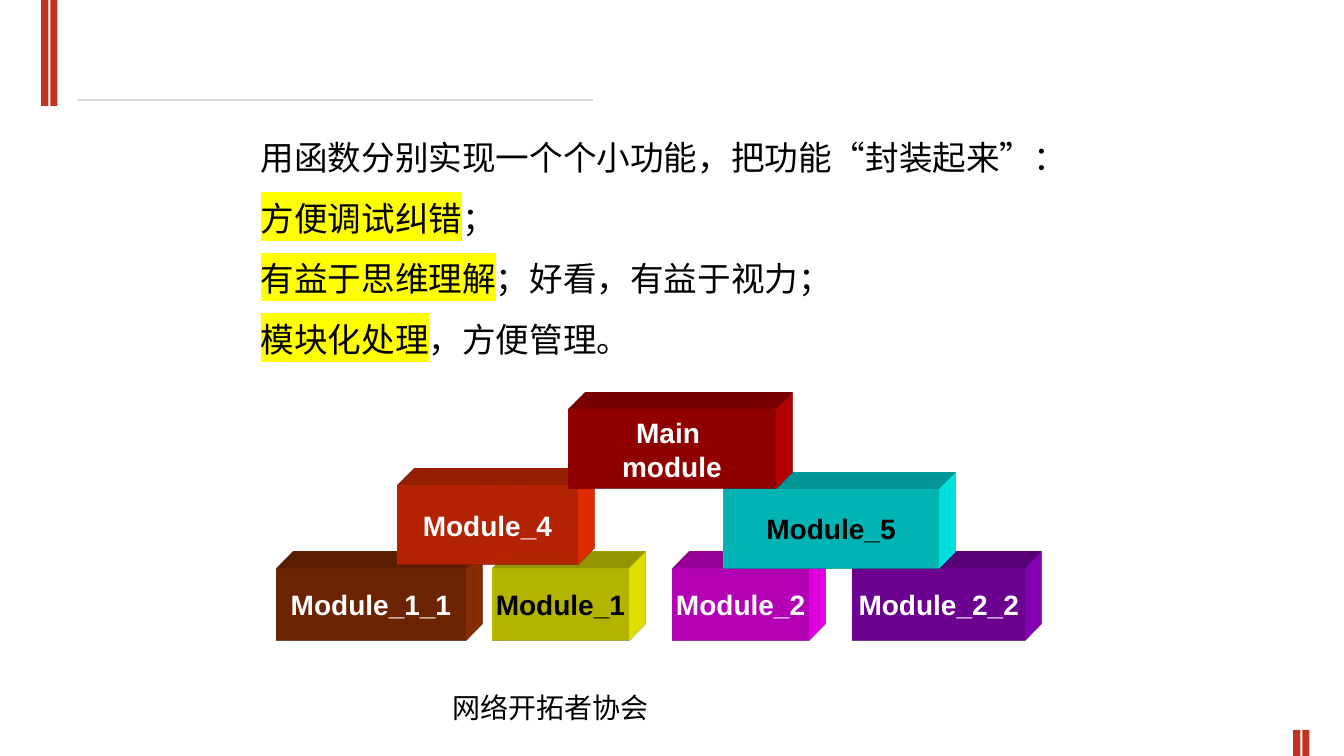
from lxml import etree
from pptx import Presentation
from pptx.dml.color import RGBColor
from pptx.enum import shapes, text
from pptx.oxml.ns import nsdecls, qn
from pptx.util import Cm, Pt

RED = RGBColor(0xBF, 0x34, 0x20)
GREY = RGBColor(0xD9, 0xD9, 0xD9)
BLACK = RGBColor(0, 0, 0)
WHITE = RGBColor(0xFF, 0xFF, 0xFF)
PURPLE = RGBColor(0x99, 0, 0xCC)
MAGENTA = RGBColor(0xFF, 0, 0xFF)
BROWN = RGBColor(0x99, 0x33, 0)
YELLOW = RGBColor(0xFF, 0xFF, 0)
ORANGE = RGBColor(0xFF, 0x33, 0)
CYAN = RGBColor(0, 0xFF, 0xFF)
DARK_RED = RGBColor(0xCC, 0, 0)
CHINESE, LATIN = "Noto Sans CJK SC", "Arial"


def add_span(para, words, size, color=BLACK, face=CHINESE, bold=False, marked=False):
    """Append formatted words; marked words get a yellow highlight."""
    span = para.add_run()
    span.text = words
    font = span.font
    font.color.rgb = color
    properties = font._element
    if marked:
        highlight = etree.SubElement(properties, qn("a:highlight"))
        etree.SubElement(highlight, qn("a:srgbClr"), val=str(YELLOW))
    for name, value in {"name": face, "size": Pt(size), "bold": bold}.items():
        setattr(font, name, value)
    etree.SubElement(properties, qn("a:ea"), typeface=face)


def add_rectangle(left, top, width, height, color):
    box = page.shapes.add_shape(shapes.MSO_SHAPE.RECTANGLE,
                                Cm(left), Cm(top), Cm(width), Cm(height))
    box.shadow.inherit = False
    box.fill.solid()
    box.fill.fore_color.rgb = color
    box.line.fill.background()
    return box


deck = Presentation()
deck.slide_width, deck.slide_height = Cm(33.87), Cm(19.05)
page = deck.slides.add_slide(deck.slide_layouts[6])

# Footer and decoration
footer = page.shapes.add_textbox(Cm(11.15), Cm(17.27), Cm(9.7), Cm(1.12))
footer.text_frame.word_wrap = True
footer.text_frame.auto_size = text.MSO_AUTO_SIZE.SHAPE_TO_FIT_TEXT
add_span(footer.text_frame.paragraphs[0], "网络开拓者协会", 20)

for first_left, top, height in [(1.04, 0, 2.67), (32.59, 18.39, 0.66)]:
    for offset in (0, 0.23):
        add_rectangle(first_left + offset, top, 0.18, height, RED)

rule = page.shapes.add_connector(shapes.MSO_CONNECTOR.STRAIGHT,
                                 Cm(1.93), Cm(2.52), Cm(14.94), Cm(2.52))
rule.line.color.rgb = GREY
rule.line.width = Pt(0.75)
etree.SubElement(rule._element.spPr, qn("a:effectLst"))

# Benefits of functions: highlighted words, then plain words
benefits = [
    ("", "用函数分别实现一个个小功能，把功能“封装起来”："),
    ("方便调试纠错", "；"),
    ("有益于思维理解", "；好看，有益于视力；"),
    ("模块化处理", "，方便管理。"),
]
body = page.shapes.add_textbox(Cm(6.32), Cm(2.82), Cm(20.9), Cm(6.22)).text_frame
body.word_wrap = True
body.auto_size = text.MSO_AUTO_SIZE.SHAPE_TO_FIT_TEXT
for index, (marked_words, plain_words) in enumerate(benefits):
    para = body.add_paragraph() if index else body.paragraphs[0]
    para.line_spacing = 1.5
    if marked_words:
        add_span(para, marked_words, 24, marked=True)
    add_span(para, plain_words, 24)

# Pyramid of extruded module blocks, from back to front
BOTTOM_ROW = (14.33, 1.8)
blocks = [
    (["Module_2_2"], 21.49, 4.34, BOTTOM_ROW, PURPLE, WHITE),
    (["Module_2"], 16.94, 3.45, BOTTOM_ROW, MAGENTA, WHITE),
    (["Module_1_1"], 6.96, 4.78, BOTTOM_ROW, BROWN, WHITE),
    (["Module_1"], 12.4, 3.45, BOTTOM_ROW, YELLOW, BLACK),
    (["Module_4"], 10.01, 4.55, (12.22, 2.01), ORANGE, WHITE),
    (["Module_5"], 18.24, 5.41, (12.32, 2.01), CYAN, BLACK),
    (["Main ", "module"], 14.33, 5.21, (10.31, 2.01), DARK_RED, WHITE),
]
SCENE = (f'<a:scene3d {nsdecls("a")}><a:camera prst="legacyObliqueTopRight"/>'
         '<a:lightRig rig="legacyFlat3" dir="b"/></a:scene3d>')
DEPTH = (f'<a:sp3d {nsdecls("a")} extrusionH="430200" prstMaterial="legacyMatte">'
         '<a:bevelT w="13500" h="13500" prst="angle"/>'
         '<a:bevelB w="13500" h="13500" prst="angle"/>'
         '<a:extrusionClr><a:srgbClr val="{}"/></a:extrusionClr></a:sp3d>')
for lines, left, width, (top, height), color, text_color in blocks:
    block = add_rectangle(left, top, width, height, color)
    for markup in (SCENE, DEPTH.format(color)):
        block._element.spPr.append(etree.fromstring(markup))
    frame = block.text_frame
    frame.word_wrap = False
    frame.vertical_anchor = text.MSO_ANCHOR.MIDDLE
    for index, line in enumerate(lines):
        para = frame.add_paragraph() if index else frame.paragraphs[0]
        para.alignment = text.PP_ALIGN.CENTER
        add_span(para, line, 20, text_color, LATIN, bold=True)

deck.save("out.pptx")
